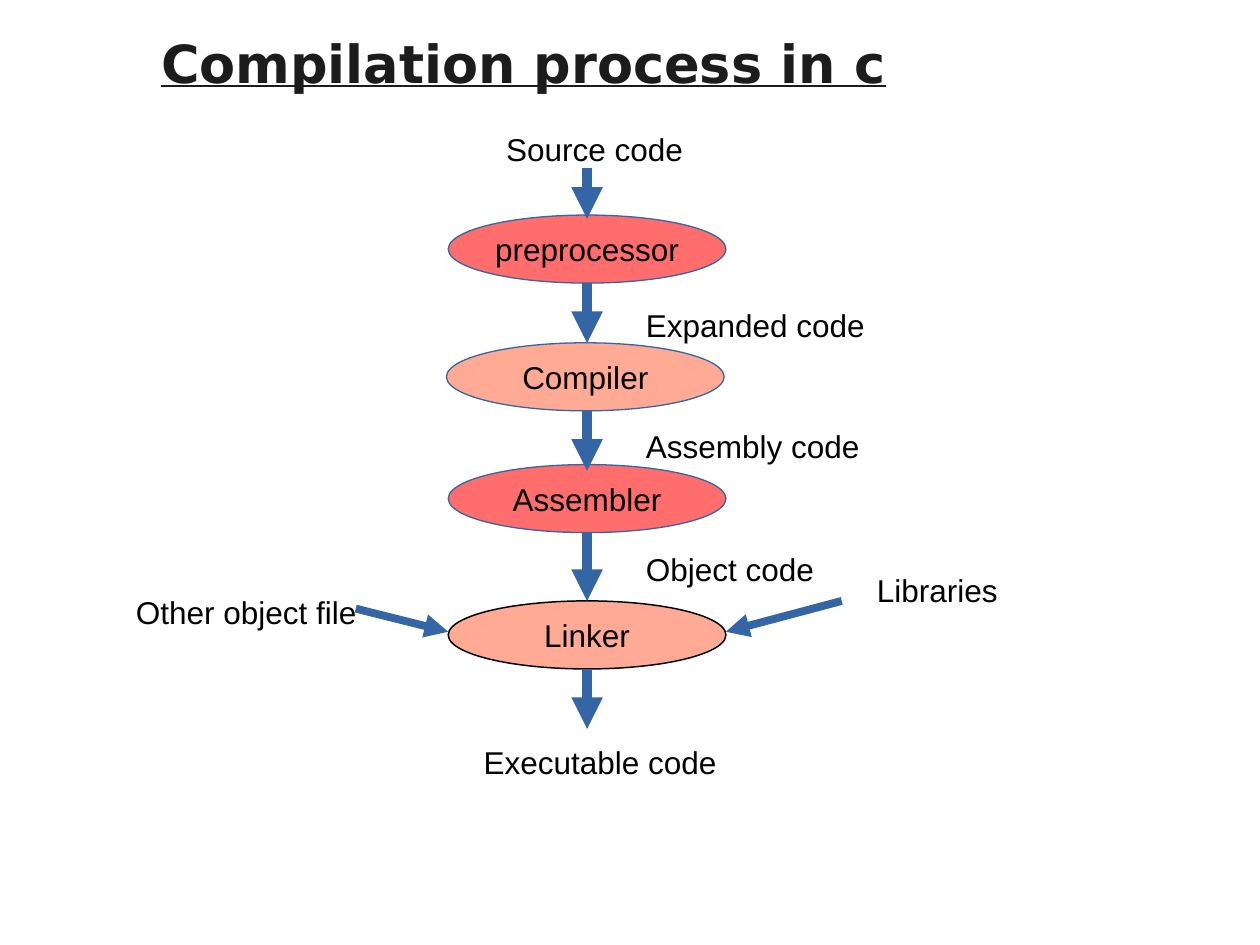
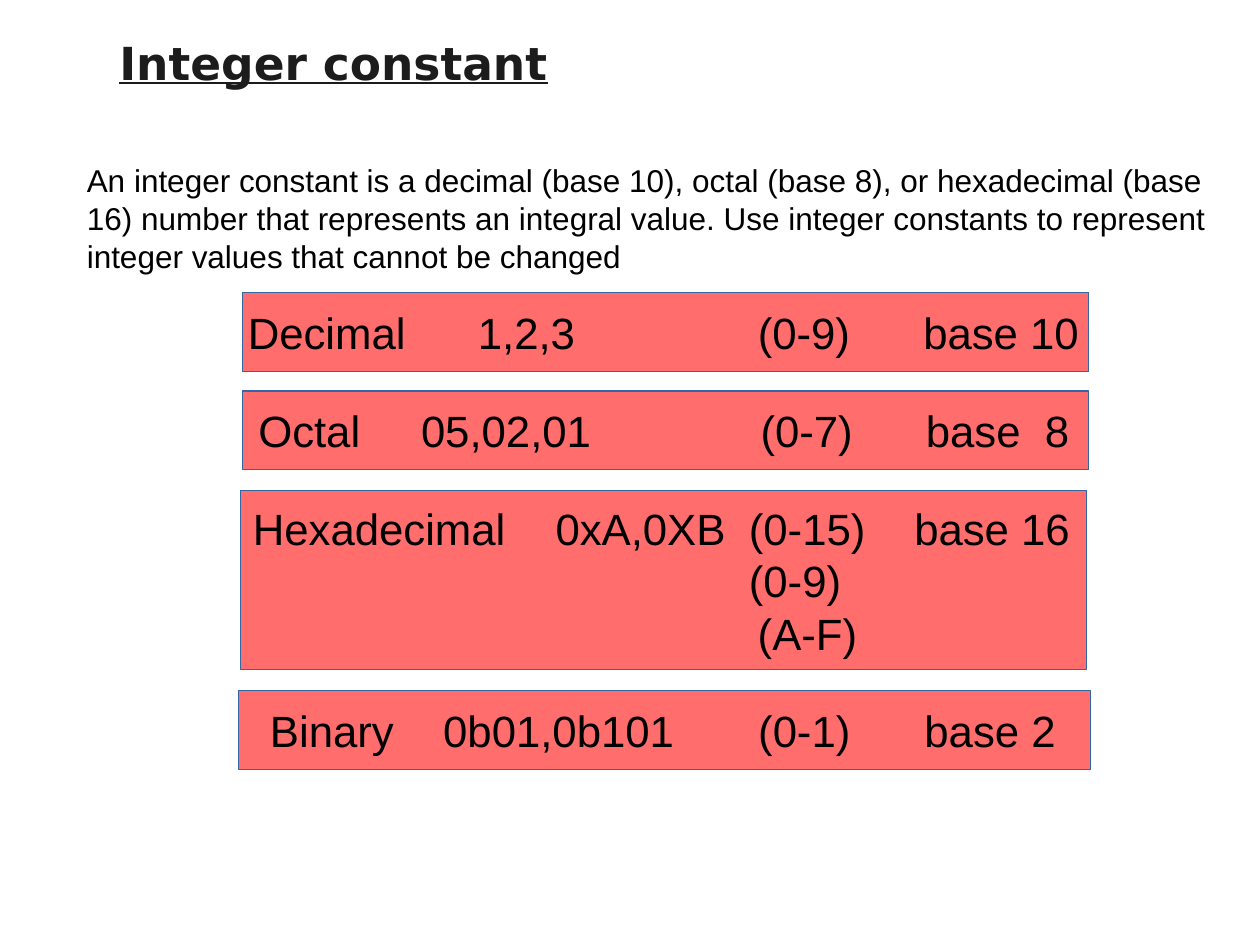
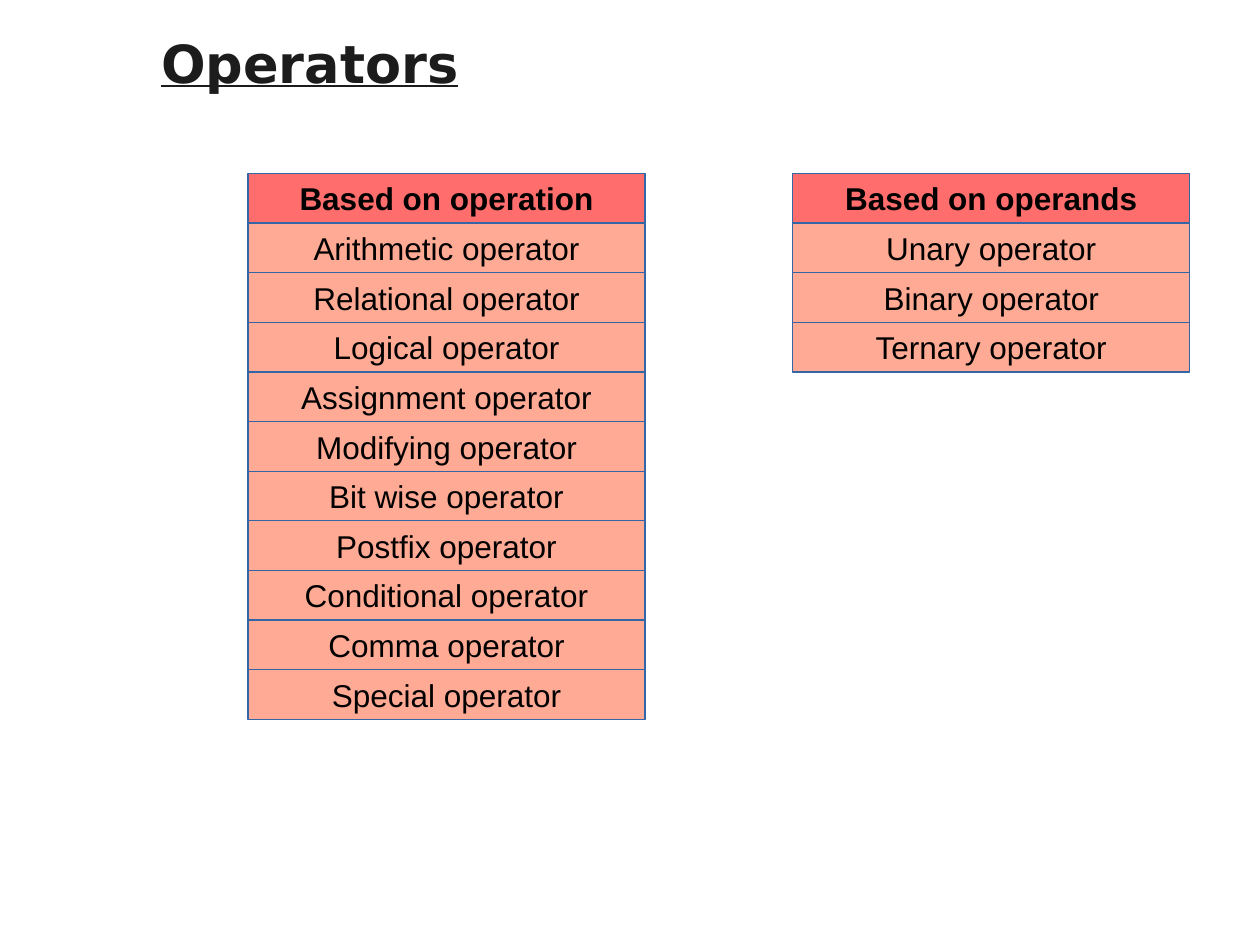
from lxml.etree import SubElement
from pptx import Presentation
from pptx.dml.color import RGBColor
from pptx.enum.shapes import MSO_CONNECTOR as Connector, MSO_SHAPE as Shape
from pptx.enum.text import MSO_ANCHOR as Anchor, PP_ALIGN as Align
from pptx.oxml.ns import qn
from pptx.util import Pt

COLORS = {
    "title": "1C1C1C",
    "text": "000000",
    "strong": "FF6D6D",
    "soft": "FFAA95",
    "line": "3465A4",
}
TITLE_FONT = "DejaVu Sans"
BODY_FONT = "Arial"


def color(name):
    return RGBColor.from_string(COLORS[name])


class Slides:
    """Holds the deck's style and the page being filled."""

    def __init__(self):
        self.deck = Presentation()
        self.deck.slide_width, self.deck.slide_height = Pt(720), Pt(540)
        self.page = None

    def new_page(self):
        self.page = self.deck.slides.add_slide(self.deck.slide_layouts[6])

    def add_span(self, para, text, size=18, bold=False, font=BODY_FONT, ink="text"):
        span = para.add_run()
        span.text = text
        span.font.name = font
        span.font.size = Pt(size)
        span.font.bold = bold
        span.font.color.rgb = color(ink)
        return span

    def text_box(self, left, top, width, height):
        box = self.page.shapes.add_textbox(Pt(left), Pt(top), Pt(width), Pt(height))
        box.text_frame.word_wrap = True
        return box.text_frame

    def title(self, text, left, top, width, height, size=30, centred=False):
        frame = self.text_box(left, top, width, height)
        para = frame.paragraphs[0]
        if centred:
            para.alignment = Align.CENTER
            frame.vertical_anchor = Anchor.MIDDLE
        span = self.add_span(para, text, size, True, TITLE_FONT, "title")
        span.font.underline = True

    def label(self, text, left, top, width=172, height=34.5):
        self.add_span(self.text_box(left, top, width, height).paragraphs[0], text)

    def shape(self, kind, left, top, width, height, fill, line="line", weight=0):
        shape = self.page.shapes.add_shape(
            kind, Pt(left), Pt(top), Pt(width), Pt(height))
        shape.shadow.inherit = False
        shape.fill.solid()
        shape.fill.fore_color.rgb = color(fill)
        shape.line.color.rgb = color(line)
        shape.line.width = Pt(weight)
        shape.text_frame.vertical_anchor = Anchor.MIDDLE
        return shape

    def node(self, kind, text, *place, bold=False, **look):
        """A shape with one centred line of text."""
        frame = self.shape(kind, *place, **look).text_frame
        frame.word_wrap = False
        para = frame.paragraphs[0]
        para.alignment = Align.CENTER
        self.add_span(para, text, bold=bold)

    def tabbed_bar(self, left, top, width, height, lines):
        """A bar whose lines are lists of (offset from the bar's left, text)."""
        bar = self.shape(Shape.RECTANGLE, left, top, width, height, "strong")
        frame = bar.text_frame
        frame.word_wrap = True
        frame.margin_left = frame.margin_right = 0
        for number, line in enumerate(lines):
            para = frame.add_paragraph() if number else frame.paragraphs[0]
            para.alignment = Align.LEFT
            stops = SubElement(para._p.get_or_add_pPr(), qn("a:tabLst"))
            for offset, text in line:
                SubElement(stops, qn("a:tab"), pos=str(Pt(offset)), algn="l")
                self.add_span(para, "\t" + text, 25)

    def arrow(self, x1, y1, x2, y2, weight=6):
        arrow = self.page.shapes.add_connector(
            Connector.STRAIGHT, Pt(x1), Pt(y1), Pt(x2), Pt(y2))
        arrow.line.color.rgb = color("line")
        arrow.line.width = Pt(weight)
        properties = arrow._element.spPr
        SubElement(properties.get_or_add_ln(), qn("a:tailEnd"), type="triangle")
        SubElement(properties, qn("a:effectLst"))

    def stack(self, left, heading, names):
        """A heading cell with one cell per name below it."""
        top, width, height = 99.2, 226.8, 28.35
        for row, text in enumerate([heading] + names):
            self.node(Shape.RECTANGLE, text, left, top + row * height, width, height,
                      fill="soft" if row else "strong", bold=row == 0)


def compilation_page(slides):
    slides.new_page()
    slides.title("Compilation process in c", 85, 14.4, 635, 79)
    width, height = 158.7, 38.9
    stages = [
        ("preprocessor", 256.1, 122.9, "strong", "line", 0),
        ("Compiler", 255.1, 195.9, "soft", "line", 0),
        ("Assembler", 256.1, 265.5, "strong", "line", 0),
        ("Linker", 256.1, 343.4, "soft", "text", 0.85),
    ]
    for text, left, top, fill, line, weight in stages:
        slides.node(Shape.OVAL, text, left, top, width, height,
                    fill=fill, line=line, weight=weight)

    axis = 335.5
    for start, end in [(96, 125), (161.8, 196), (234.8, 269), (304.4, 343.4),
                       (382.3, 416.5)]:
        slides.arrow(axis, start, axis, end)
    slides.arrow(203.3, 347.8, 256.1, 361, 4.5)
    slides.arrow(481, 343.4, 414.8, 361, 4.5)

    slides.label("Source code", 282.2, 70.6, 125)
    slides.label("Executable code", 269.3, 421.2)
    for text, top in [("Expanded code", 171.4), ("Assembly code", 240.5),
                      ("Object code", 311)]:
        slides.label(text, 362, top)
    slides.label("Libraries", 494, 322.6)
    slides.label("Other object file", 70.6, 335.5)


def integer_page(slides):
    slides.new_page()
    slides.title("Integer constant", 56, 10.8, 269.3, 49.7, 26, centred=True)
    slides.label(
        "An integer constant is a decimal (base 10), octal (base 8), or hexadecimal "
        "(base 16) number that represents an integral value. Use integer constants "
        "to represent integer values that cannot be changed", 42.5, 88.6, 677.5, 72)
    slides.tabbed_bar(138.6, 167.3, 483.3, 45, [
        [(3, "Decimal"), (134.5, "1,2,3"), (294.5, "(0-9)"), (389, "base 10")]])
    slides.tabbed_bar(138.6, 223.4, 483.3, 45, [
        [(9, "Octal"), (102, "05,02,01"), (296, "(0-7)"), (390.5, "base"),
         (458.5, "8")]])
    slides.tabbed_bar(137.5, 280.3, 483.3, 102.5, [
        [(7, "Hexadecimal"), (180, "0xA,0XB"), (290.5, "(0-15)"), (385, "base 16")],
        [(290.5, "(0-9)")],
        [(295.5, "(A-F)")]])
    slides.tabbed_bar(136.3, 394.6, 486.7, 45, [
        [(18, "Binary"), (117, "0b01,0b101"), (297, "(0-1)"), (392, "base 2")]])


def operators_page(slides):
    slides.new_page()
    slides.title("Operators", 85, 14.4, 283.7, 93.6)
    operations = ["Arithmetic", "Relational", "Logical", "Assignment", "Modifying",
                  "Bit wise", "Postfix", "Conditional", "Comma", "Special"]
    operands = ["Unary", "Binary", "Ternary"]
    for left, heading, kinds in [(141.75, "Based on operation", operations),
                                 (453, "Based on operands", operands)]:
        slides.stack(left, heading, [f"{kind} operator" for kind in kinds])


def main():
    slides = Slides()
    compilation_page(slides)
    integer_page(slides)
    operators_page(slides)
    slides.deck.save("out.pptx")


if __name__ == "__main__":
    main()
